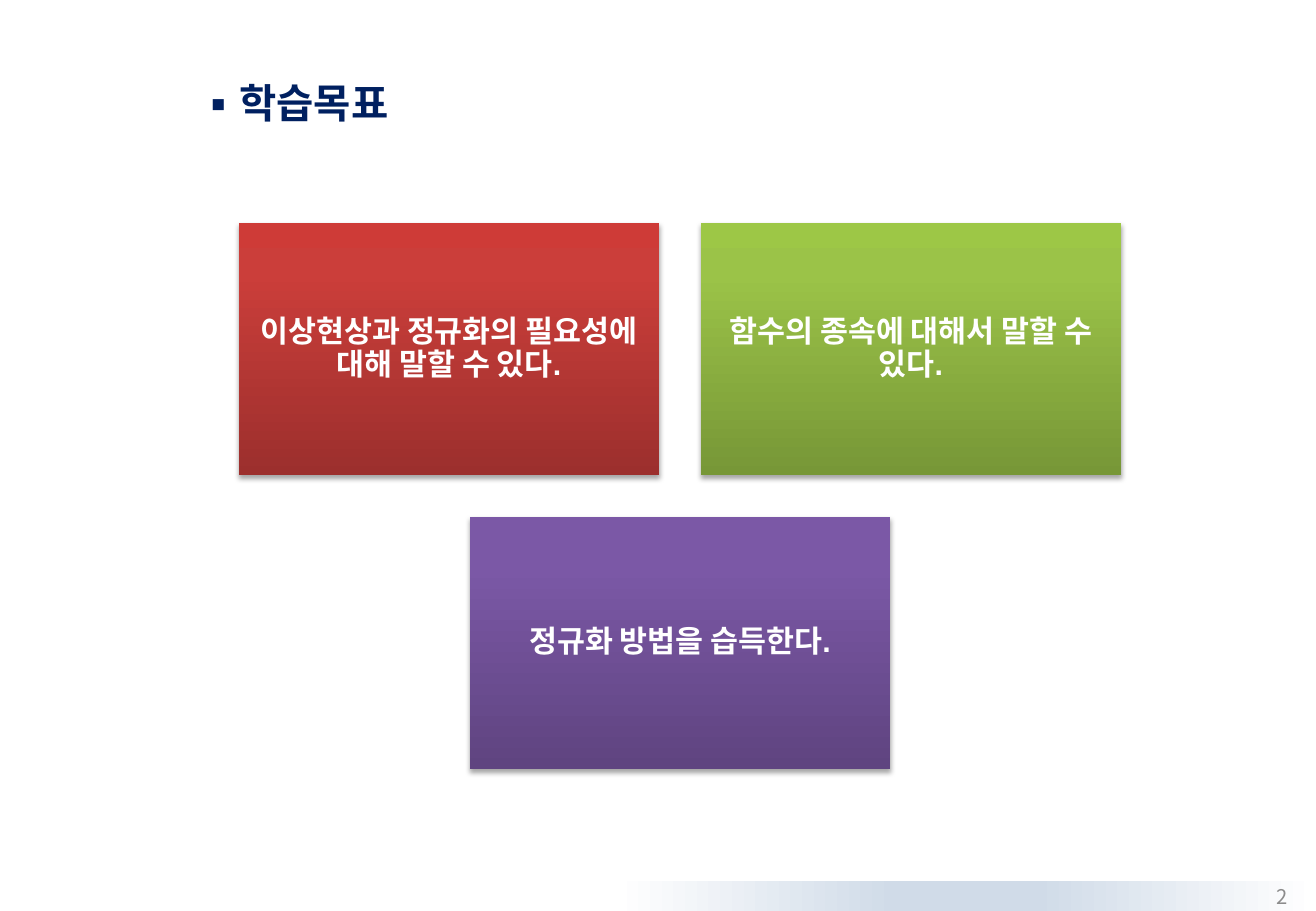
from lxml.etree import SubElement
from pptx import Presentation
from pptx.dml.color import RGBColor
from pptx.enum.shapes import MSO_SHAPE as Shape
from pptx.enum.text import MSO_ANCHOR as Anchor, MSO_AUTO_SIZE as AutoSize, PP_ALIGN as Align
from pptx.oxml.ns import qn
from pptx.util import Emu, Pt

PX = 7526  # EMU in one px
SLIDE_W, SLIDE_H = 1316, 911
TITLE_ONLY = 5

COLORS = {
    "navy": "002060", "white": "FFFFFF", "gray": "8C8C8C", "mist": "D0DBE8",
    "black": "000000",
    "red_dark": "9C2F2D", "red": "CB3E3A", "red_light": "CE3B37",
    "green_dark": "779737", "green": "9BC348", "green_light": "9DC746",
    "purple_dark": "5F4480", "purple": "7B58A6", "purple_light": "7C57A8",
}


def px(length):
    return Emu(round(length * PX))


class SlideBuilder:
    hangul_font = "Noto Sans CJK KR"

    def __init__(self, deck):
        self.slide = deck.slides.add_slide(deck.slide_layouts[TITLE_ONLY])

    def set_text(self, frame, text, color, font, paragraph, inset):
        """Put one formatted paragraph into a text frame."""
        frame.text = text
        frame.word_wrap = True
        frame.auto_size = AutoSize.NONE
        for side, margin in zip(("left", "top", "right", "bottom"), inset):
            setattr(frame, f"margin_{side}", px(margin))
        line = frame.paragraphs[0]
        for name, value in paragraph.items():
            setattr(line, name, value)
        run = line.runs[0]
        for name, value in font.items():
            setattr(run.font, name, value)
        run.font.color.rgb = RGBColor.from_string(COLORS[color])
        SubElement(run._r.get_or_add_rPr(), qn("a:ea"), typeface=self.hangul_font)
        return line

    def title(self, text, left, top, width, height):
        heading = self.slide.shapes.title
        place = {"left": left, "top": top, "width": width, "height": height}
        for name, value in place.items():
            setattr(heading, name, px(value))
        heading.text_frame.vertical_anchor = Anchor.BOTTOM
        line = self.set_text(
            heading.text_frame, text, "navy",
            {"name": self.hangul_font, "size": Pt(24), "bold": True},
            {"alignment": Align.LEFT}, (12, 6, 12, 6))
        bullet = line._p.get_or_add_pPr()
        for name, value in {"marL": "0", "indent": "0"}.items():
            bullet.set(name, value)
        SubElement(bullet, qn("a:buFont"), typeface=self.hangul_font)
        SubElement(bullet, qn("a:buChar"), char="▪")

    def gradient_box(self, left, top, width, height, stops, angle):
        box = self.slide.shapes.add_shape(
            Shape.RECTANGLE, px(left), px(top), px(width), px(height))
        box.line.fill.background()
        box.shadow.inherit = False
        box.fill.gradient()
        box.fill.gradient_angle = angle
        stop_list = next(box._element.spPr.iter(qn("a:gsLst")))
        stop_list.clear()
        for percent, color in stops:
            stop = SubElement(stop_list, qn("a:gs"), pos=str(percent * 1000))
            SubElement(stop, qn("a:srgbClr"), val=COLORS[color])
        return box

    def goal(self, text, hue, left, top, width, height):
        stops = [(0, f"{hue}_dark"), (80, hue), (100, f"{hue}_light")]
        card = self.gradient_box(left, top, width, height, stops, 90)
        effects = card._element.spPr.find(qn("a:effectLst"))
        shadow = SubElement(
            effects, qn("a:outerShdw"), blurRad=str(Pt(3.1)), dist=str(Pt(1.8)),
            dir="5400000", rotWithShape="0")
        tint = SubElement(shadow, qn("a:srgbClr"), val=COLORS["black"])
        SubElement(tint, qn("a:alpha"), val="35000")
        card.text_frame.vertical_anchor = Anchor.MIDDLE
        self.set_text(
            card.text_frame, text, "white",
            {"name": "Arial", "size": Pt(18), "bold": True},
            {"alignment": Align.CENTER, "line_spacing": 0.9}, (9, 9, 9, 9))

    def page_number(self, text, left, top, width, height):
        number = self.slide.shapes.add_textbox(
            px(left), px(top), px(width), px(height))
        number.text_frame.vertical_anchor = Anchor.MIDDLE
        self.set_text(
            number.text_frame, text, "gray",
            {"name": self.hangul_font, "size": Pt(12)},
            {"alignment": Align.RIGHT}, (12, 6, 12, 6))


def main():
    deck = Presentation()
    deck.slide_width, deck.slide_height = px(SLIDE_W), px(SLIDE_H)
    page = SlideBuilder(deck)

    # Footer band
    page.gradient_box(
        615, 881, 701, 30,
        [(0, "white"), (40, "mist"), (60, "mist"), (100, "white")], 0)

    # Title
    page.title("학습목표", 187, 77, 937, 56)

    # Learning goals: each row is centred on the same axis
    goal_rows = [
        [("이상현상과 정규화의 필요성에 대해 말할 수 있다.", "red"),
         ("함수의 종속에 대해서 말할 수 있다.", "green")],
        [("정규화 방법을 습득한다.", "purple")],
    ]
    axis, first_top, width, height, gap = 680, 223, 420, 252, 42
    for row, goals in enumerate(goal_rows):
        row_width = len(goals) * (width + gap) - gap
        for column, (text, hue) in enumerate(goals):
            left = axis - row_width // 2 + column * (width + gap)
            page.goal(text, hue, left, first_top + row * (height + gap), width, height)

    # Page number
    page.page_number("2", 993, 881, 307, 30)

    deck.save("out.pptx")


if __name__ == "__main__":
    main()
